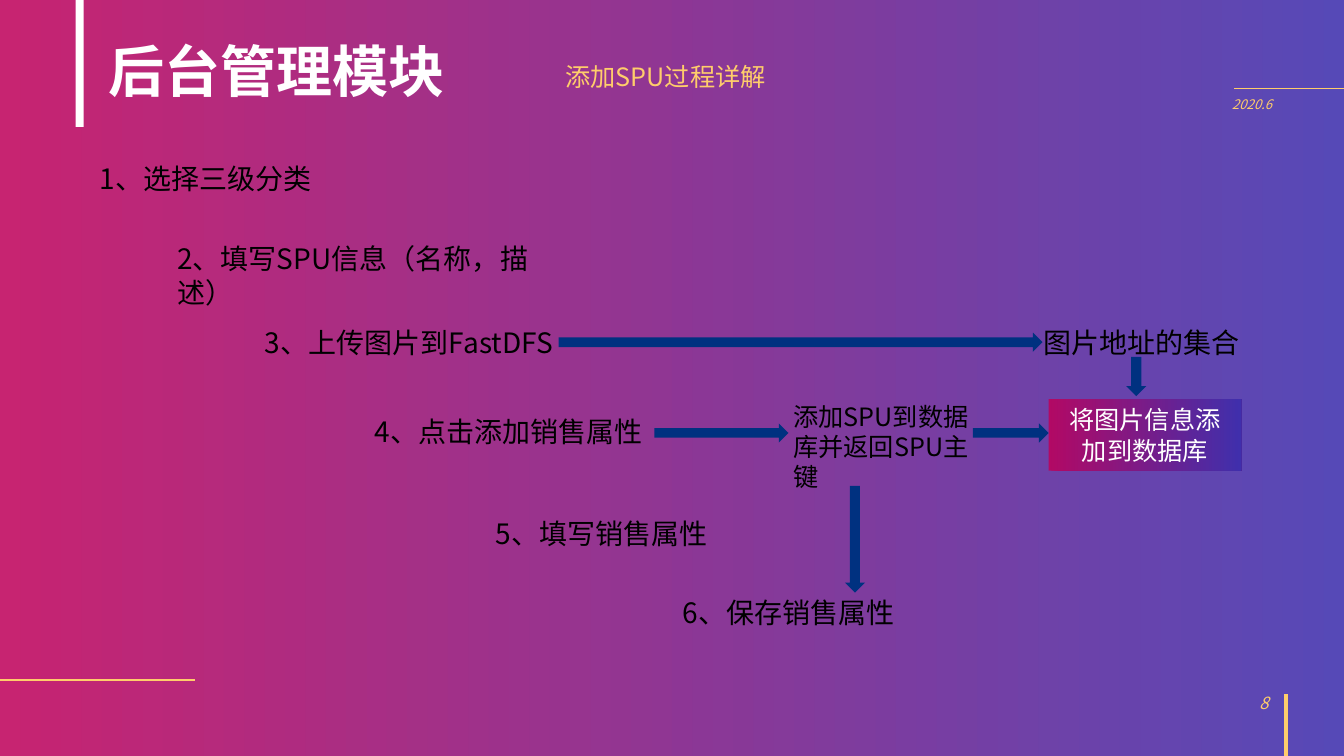
from lxml.etree import SubElement
from pptx import Presentation
from pptx.dml.color import RGBColor
from pptx.enum.shapes import MSO_CONNECTOR as Connector, MSO_SHAPE as Shape
from pptx.enum.text import MSO_ANCHOR as Anchor, MSO_AUTO_SIZE as AutoSize, PP_ALIGN as Align
from pptx.oxml.ns import qn
from pptx.util import Emu, Pt

PX = 9144  # 100 px to the inch
WIDTH, HEIGHT = 1333, 750
NOTO, ARIAL = "Noto Sans CJK SC", "Arial"
WHITE, BLACK, GOLD, NAVY = "FFFFFF", "000000", "FFCD6B", "003180"
GRADIENT = ("BE005A", "3B2CAC")
OPACITY = 85

TITLE = ("后台管理模块", (98, 33, 370, 76))
SUBTITLE = ("添加SPU过程详解", (551, 56, 230, 40))
DATE = ("2020.6", (1212, 92, 78, 40))
PAGE_NUMBER = ("8", (968, 677, 300, 40))
ACCENT_BAR = (75, 0, 8, 126)
# start x, start y, end x, end y, width in points
RULES = [
    (1224, 88, 1333, 88, 0.75),
    (0, 675, 193, 675, 1.5),
    (1276, 750, 1276, 689, 1.5),
    (1224, 88, 1334, 88, 0.75),
    (1275, 750, 1275, 689, 1.5),
]
# box, text size, runs
STEPS = [
    ((89, 155, 242, 43), 20, [("1、", NOTO), ("选择三级分类", ARIAL)]),
    ((166, 235, 397, 76), 20,
     [("2、", NOTO), ("填写", ARIAL), ("SPU", NOTO), ("信息（名称，描述）", ARIAL)]),
    ((253, 318, 310, 76), 20, [("3、", NOTO), ("上传图片到", ARIAL), ("FastDFS", NOTO)]),
    ((362, 406, 287, 76), 20, [("4、点击", NOTO), ("添加销售属性", ARIAL)]),
    ((482, 507, 240, 43), 20, [("5、", NOTO), ("填写销售属性", ARIAL)]),
    ((667, 586, 258, 43), 20, [("6、", NOTO), ("保存销售属性", ARIAL)]),
    ((1025, 318, 220, 43), 20, [("图片地址的集合", ARIAL)]),
    ((777, 393, 213, 100), 18,
     [("添加", ARIAL), ("SPU", NOTO), ("到数据库并返回", ARIAL), ("SPU", NOTO), ("主键", ARIAL)]),
]
IMAGE_STORE = ("将图片信息添加到数据库", (1040, 396, 191, 71))
ARROWS = [
    (Shape.RIGHT_ARROW, (554, 330, 480, 19)),
    (Shape.RIGHT_ARROW, (649, 420, 133, 19)),
    (Shape.RIGHT_ARROW, (965, 420, 75, 19)),
    (Shape.DOWN_ARROW, (1117, 354, 20, 39)),
    (Shape.DOWN_ARROW, (838, 482, 20, 106)),
]


def emu(lengths):
    return [Emu(length * PX) for length in lengths]


def rgb(color):
    return RGBColor.from_string(color)


def write(shape, runs, size, color, bold=False, italic=False, align=Align.LEFT,
          anchor=Anchor.TOP, wrap=True, auto_size=AutoSize.NONE):
    """Fill the shape with one paragraph of (text, font) runs and return it."""
    frame = shape.text_frame
    frame.word_wrap, frame.auto_size, frame.vertical_anchor = wrap, auto_size, anchor
    para = frame.paragraphs[0]
    para.alignment = align
    for text, face in runs:
        span = para.add_run()
        span.text = text
        font = span.font
        font.name, font.size, font.bold, font.italic = face, Pt(size), bold, italic
        font.color.rgb = rgb(color)
        SubElement(font._element, qn("a:ea")).set("typeface", NOTO)
    return para


def add_text(page, box, runs, size, color, **options):
    return write(page.shapes.add_textbox(*emu(box)), runs, size, color, **options)


def add_block(page, kind, box, color=None):
    """Add a borderless shape, with the theme gradient when no colour is given."""
    shape = page.shapes.add_shape(kind, *emu(box))
    shape.shadow.inherit = False
    shape.line.fill.background()
    if color:
        shape.fill.solid()
        shape.fill.fore_color.rgb = rgb(color)
        return shape
    shape.fill.gradient()
    shape.fill.gradient_angle = 0
    for stop, position, end_color in zip(shape.fill.gradient_stops, (0, 1), GRADIENT):
        stop.position = position
        stop.color.rgb = rgb(end_color)
    for node in shape.element.iter(qn("a:srgbClr")):
        SubElement(node, qn("a:alpha")).set("val", str(OPACITY * 1000))
    return shape


def add_rule(page, ends, width):
    rule = page.shapes.add_connector(Connector.STRAIGHT, *emu(ends))
    rule.line.color.rgb = rgb(GOLD)
    rule.line.width = Pt(width)
    SubElement(rule.element.spPr, qn("a:effectLst"))


def add_title(page):
    title = page.shapes.title
    page.shapes.element.append(title.element)  # bring in front of the backdrop
    text, box = TITLE
    title.left, title.top, title.width, title.height = emu(box)
    para = write(title, [(text, NOTO)], 40, WHITE, bold=True, anchor=Anchor.BOTTOM)
    para.line_spacing = 0.9


def main():
    deck = Presentation()
    deck.slide_width, deck.slide_height = emu((WIDTH, HEIGHT))
    page = deck.slides.add_slide(deck.slide_layouts[5])

    add_block(page, Shape.RECTANGLE, (0, 0, WIDTH, HEIGHT))
    add_block(page, Shape.RECTANGLE, ACCENT_BAR, WHITE)
    for *ends, width in RULES:
        add_rule(page, ends, width)

    add_title(page)
    text, box = PAGE_NUMBER
    add_text(page, box, [(text, NOTO)], 12, GOLD, italic=True,
             align=Align.RIGHT, anchor=Anchor.MIDDLE)
    text, box = DATE
    add_text(page, box, [(text, NOTO)], 9.4, GOLD, italic=True).line_spacing = 0.9
    text, box = SUBTITLE
    add_text(page, box, [(text, NOTO)], 18, GOLD, wrap=False,
             auto_size=AutoSize.SHAPE_TO_FIT_TEXT)

    for box, size, runs in STEPS:
        add_text(page, box, runs, size, BLACK, auto_size=AutoSize.SHAPE_TO_FIT_TEXT)
    text, box = IMAGE_STORE
    write(add_block(page, Shape.RECTANGLE, box), [(text, ARIAL)], 18, WHITE,
          align=Align.CENTER, anchor=Anchor.MIDDLE)
    for kind, box in ARROWS:
        add_block(page, kind, box, NAVY)

    deck.save("out.pptx")


if __name__ == "__main__":
    main()
